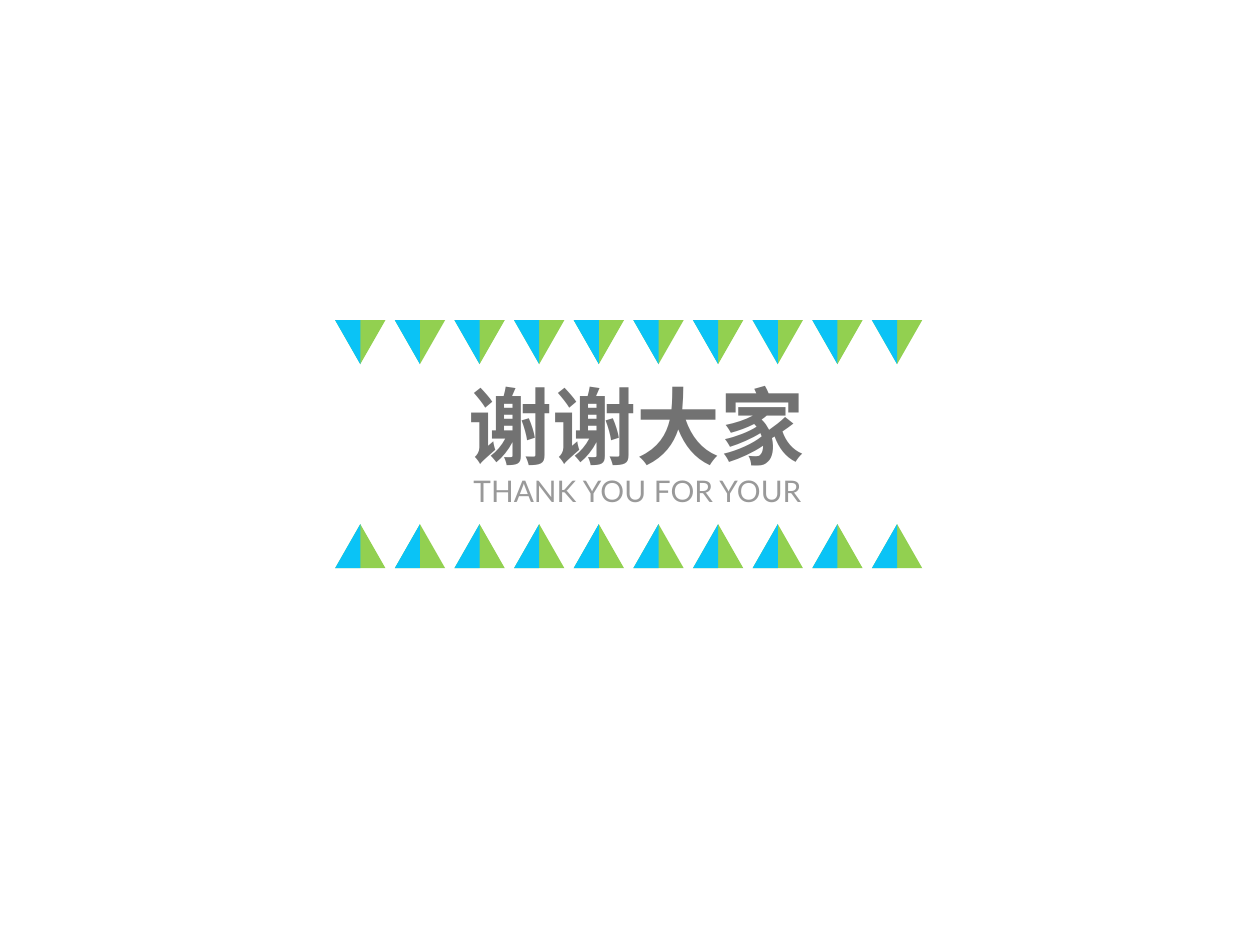
from lxml.etree import SubElement
from pptx import Presentation
from pptx.dml.color import RGBColor
from pptx.enum.shapes import MSO_SHAPE
from pptx.enum.text import MSO_ANCHOR, MSO_AUTO_SIZE, PP_ALIGN
from pptx.oxml.ns import qn
from pptx.util import Inches, Pt

COLORS = {"green": "92D050", "blue": "0AC3F6", "title": "727272", "subtitle": "999999"}
COLUMNS = 10
FIRST_LEFT, LAST_LEFT = 2.66, 6.92
PITCH = (LAST_LEFT - FIRST_LEFT) / (COLUMNS - 1)
FLAG_W, FLAG_H = 0.4, 0.35
TOP_ROW, BOTTOM_ROW = 2.54, 4.16


def rgb(name):
    return RGBColor.from_string(COLORS[name])


def paint(s, color):
    s.shadow.inherit = False
    s.fill.solid()
    s.fill.fore_color.rgb = rgb(color)
    s.line.fill.background()


def add_flag(slide, left, top, down):
    """Draw a green triangle whose left half is covered in blue."""
    box = [Inches(v) for v in (left, top, FLAG_W, FLAG_H)]
    s = slide.shapes.add_shape(MSO_SHAPE.ISOSCELES_TRIANGLE, *box)
    if down:
        s.element.spPr.xfrm.set("flipV", "1")
    paint(s, "green")

    base, tip = (top, top + FLAG_H) if down else (top + FLAG_H, top)
    middle = left + FLAG_W / 2
    builder = slide.shapes.build_freeform(Inches(left), Inches(base))
    builder.add_line_segments([(Inches(middle), Inches(base)),
                               (Inches(middle), Inches(tip))], close=True)
    paint(builder.convert_to_shape(), "blue")


def add_flag_row(slide, top, down):
    for col in range(COLUMNS):
        add_flag(slide, FIRST_LEFT + col * PITCH, top, down)


def fill_placeholder(s, text, box, wrap, color, font):
    s.left, s.top, s.width, s.height = (Inches(v) for v in box)
    tf = s.text_frame
    frame = {"word_wrap": wrap, "auto_size": MSO_AUTO_SIZE.NONE,
             "vertical_anchor": MSO_ANCHOR.TOP}
    for key, value in frame.items():
        setattr(tf, key, value)
    p = tf.paragraphs[0]
    p.alignment = PP_ALIGN.CENTER
    p.space_before = Pt(0)
    r = p.add_run()
    r.text = text
    for key, value in font.items():
        setattr(r.font, key, value)
    r.font.color.rgb = rgb(color)
    SubElement(r.font._element, qn("a:ea")).set("typeface", font["name"])


def main():
    prs = Presentation()
    prs.slide_width, prs.slide_height = Inches(10), Inches(7.5)
    slide = prs.slides.add_slide(prs.slide_layouts[0])
    add_flag_row(slide, TOP_ROW, down=True)
    add_flag_row(slide, BOTTOM_ROW, down=False)
    title, subtitle = slide.placeholders
    fill_placeholder(title, "谢谢大家", (3.51, 2.92, 3.08, 0.91), False, "title",
                     {"name": "Noto Sans CJK SC", "size": Pt(48), "bold": True})
    fill_placeholder(subtitle, "THANK YOU FOR YOUR", (3.49, 3.7, 3.14, 0.39), True,
                     "subtitle", {"name": "Lato", "size": Pt(17)})
    prs.save("out.pptx")


if __name__ == "__main__":
    main()
